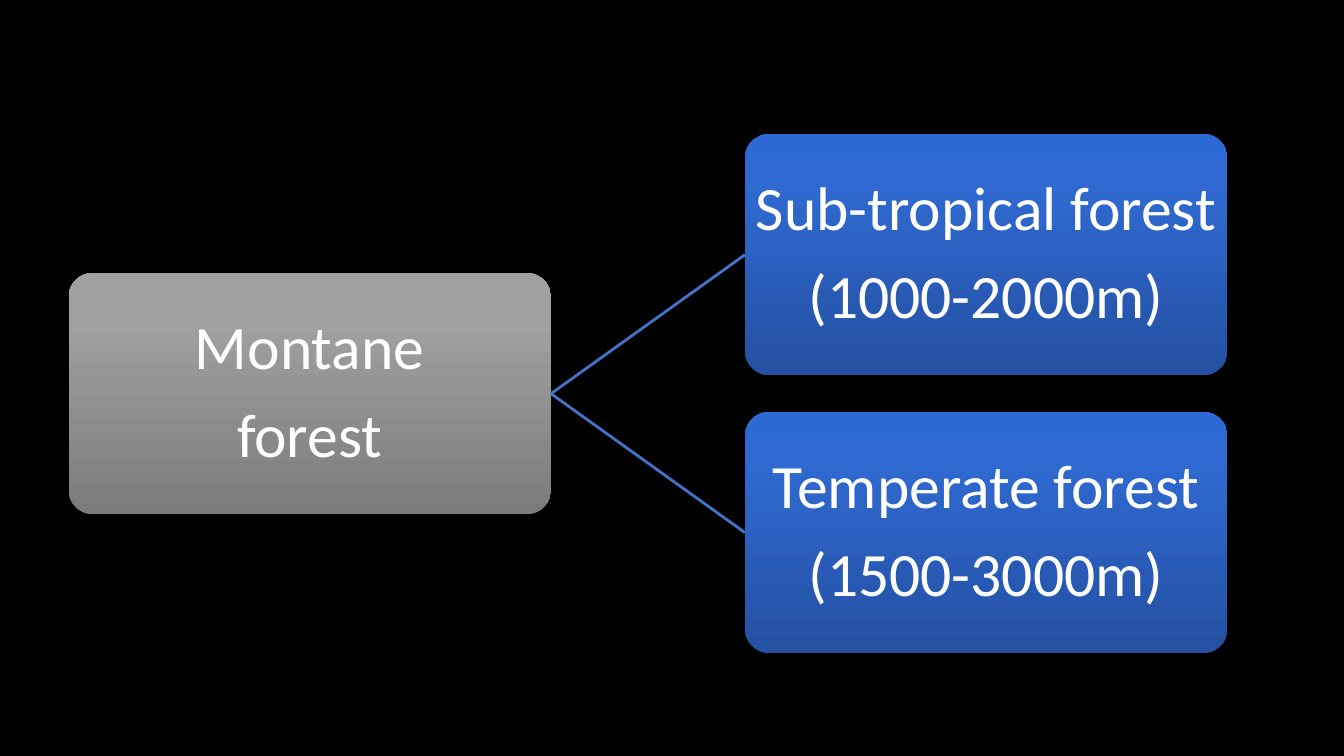
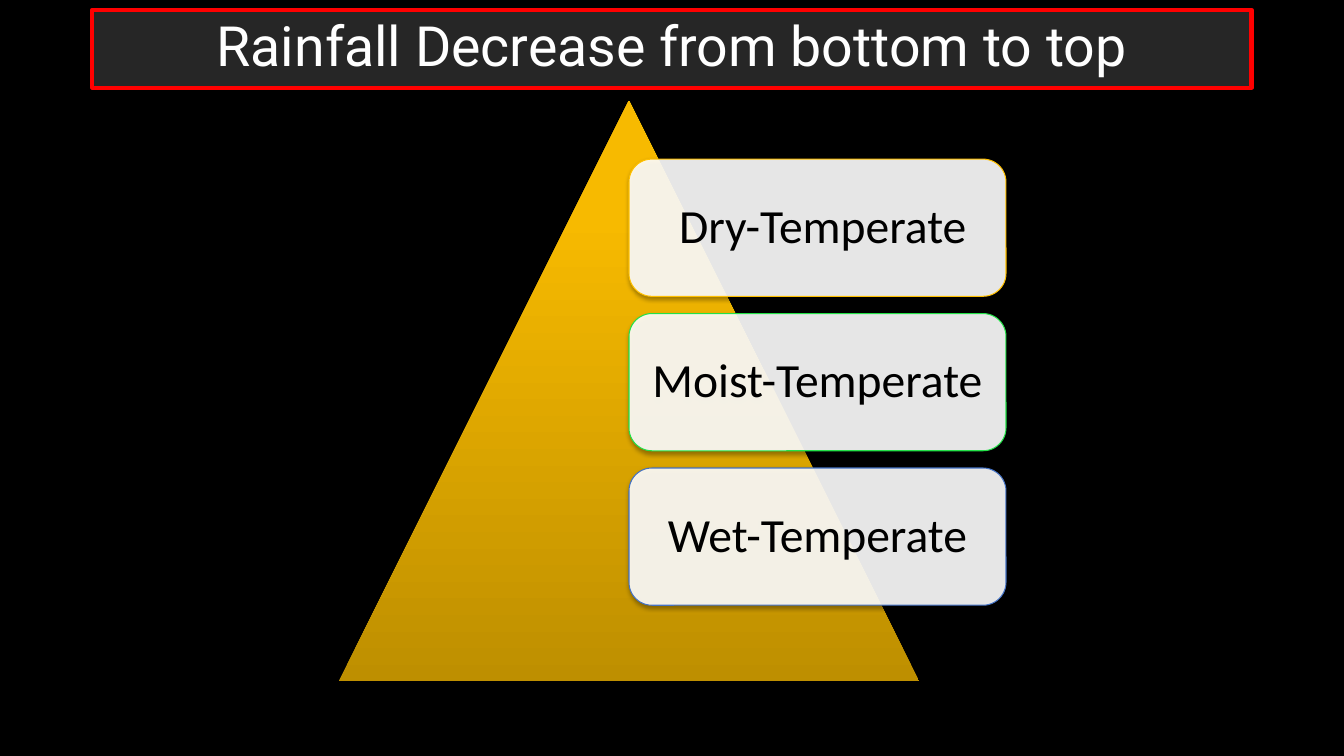
from lxml import etree
from pptx import Presentation, util as u
from pptx.dml.color import RGBColor
from pptx.enum import shapes, text
from pptx.oxml.ns import qn

BLUES = ("2451A1", "2F69D1", "2C69D5")
GREYS = ("7B7B7B", "A0A0A0", "A1A1A1")
GOLDS = ("BE8F00", "F7BA00", "F8BB00")


def rgb(value):
    return RGBColor.from_string(value)


def add(parent, tag, **attrs):
    return etree.SubElement(parent, qn(tag), {k: str(v) for k, v in attrs.items()})


def write(tf, lines, size, color, font="Calibri", inset=0.1, gap=0.0):
    tf.word_wrap = True
    tf.auto_size = text.MSO_AUTO_SIZE.NONE
    tf.vertical_anchor = text.MSO_ANCHOR.MIDDLE
    tf.margin_left = tf.margin_right = u.Inches(inset)
    tf.margin_top = tf.margin_bottom = u.Inches(min(inset, 0.14))
    for i, line in enumerate(lines.split("\n")):
        p = tf.add_paragraph() if i else tf.paragraphs[0]
        p.alignment = text.PP_ALIGN.CENTER
        p.line_spacing = 0.9
        p.space_before = u.Pt(0)
        p.space_after = u.Pt(size * gap)
        r = p.add_run()
        r.text = line
        r.font.size = u.Pt(size)
        r.font.name = font
        r.font.color.rgb = rgb(color)


class Deck:
    def __init__(self):
        self.prs = Presentation()
        self.prs.slide_width = u.Inches(13.33)
        self.prs.slide_height = u.Inches(7.5)
        fill = self.prs.slide_master.background.fill
        fill.solid()
        fill.fore_color.rgb = rgb("000000")

    def slide(self, layout):
        self.s = self.prs.slides.add_slide(self.prs.slide_layouts[layout])

    def area(self, x, y, w, h):
        width, height = self.prs.slide_width, self.prs.slide_height
        return [int(share * side / 100) for share, side in
                zip((x, y, w, h), (width, height, width, height))]

    def title(self, words, at):
        sp = self.s.shapes.title
        sp.left, sp.top, sp.width, sp.height = self.area(*at)
        sp.fill.solid()
        sp.fill.fore_color.rgb = rgb("262626")
        sp.line.color.rgb = rgb("FF0000")
        sp.line.width = u.Pt(3)
        write(sp.text_frame, words, 39.6, "FFFFFF", font="Roboto")

    def shape(self, kind, at):
        sp = self.s.shapes.add_shape(kind, *self.area(*at))
        sp.shadow.inherit = False
        sp.line.fill.background()
        shadow = add(sp._element.spPr.find(qn("a:effectLst")), "a:outerShdw",
                     blurRad=u.Pt(3.1), dist=u.Pt(1.8), dir=5400000,
                     algn="ctr", rotWithShape=0)
        add(add(shadow, "a:srgbClr", val="000000"), "a:alpha", val=35000)
        return sp

    def gradient(self, sp, colors):
        sp.fill.gradient()
        grad = sp._element.spPr.find(qn("a:gradFill"))
        for child in list(grad):
            grad.remove(child)
        stops = add(grad, "a:gsLst")
        for pos, color in zip((0, 80000, 100000), colors):
            add(add(stops, "a:gs", pos=pos), "a:srgbClr", val=color)
        add(grad, "a:lin", ang=16200000, scaled=0)

    def node(self, words, at, colors):
        sp = self.shape(shapes.MSO_SHAPE.ROUNDED_RECTANGLE, at)
        sp.adjustments[0] = 0.1
        self.gradient(sp, colors)
        write(sp.text_frame, words, 44, "FFFFFF", inset=0.03, gap=0.35)
        return sp

    def card(self, words, at, border):
        sp = self.shape(shapes.MSO_SHAPE.ROUNDED_RECTANGLE, at)
        sp.fill.solid()
        sp.fill.fore_color.rgb = rgb("FFFFFF")
        color = sp._element.spPr.find(qn("a:solidFill")).find(qn("a:srgbClr"))
        add(color, "a:alpha", val=90000)
        sp.line.color.rgb = rgb(border)
        sp.line.width = u.Pt(0.75)
        write(sp.text_frame, words, 34, "000000", inset=0.14, gap=0.35)

    def triangle(self, at, colors):
        self.gradient(self.shape(shapes.MSO_SHAPE.ISOSCELES_TRIANGLE, at), colors)

    def link(self, start, end):
        line = self.s.shapes.add_connector(shapes.MSO_CONNECTOR.STRAIGHT, 0, 0, 0, 0)
        line.begin_connect(start, 3)
        line.end_connect(end, 1)
        line.line.color.rgb = rgb("4472C4")
        line.line.width = u.Pt(2)
        add(line._element.spPr, "a:effectLst")


def forest_slide(deck):
    deck.slide(6)
    w, h, top, pitch = 35.9, 31.9, 17.75, 36.75
    root = deck.node("Montane\nforest", (5.1, top + pitch / 2, w, h), GREYS)
    kinds = "Sub-tropical forest\n(1000-2000m)", "Temperate forest\n(1500-3000m)"
    for i, words in enumerate(kinds):
        deck.link(root, deck.node(words, (55.43, top + i * pitch, w, h), BLUES))


def rainfall_slide(deck):
    deck.slide(5)
    deck.triangle((25.2, 13.33, 43.2, 76.8), GOLDS)
    cards = ((" Dry-Temperate", "FFC000"), ("Moist-Temperate", "23E148"),
             ("Wet-Temperate", "4472C4"))
    for i, (words, border) in enumerate(cards):
        deck.card(words, (46.8, 21.05 + i * 20.43, 28.05, 18.15), border)
    deck.title("Rainfall Decrease from bottom to top", (6.87, 1.3, 86.25, 10.3))


def main():
    deck = Deck()
    forest_slide(deck)
    rainfall_slide(deck)
    deck.prs.save("out.pptx")


if __name__ == "__main__":
    main()
